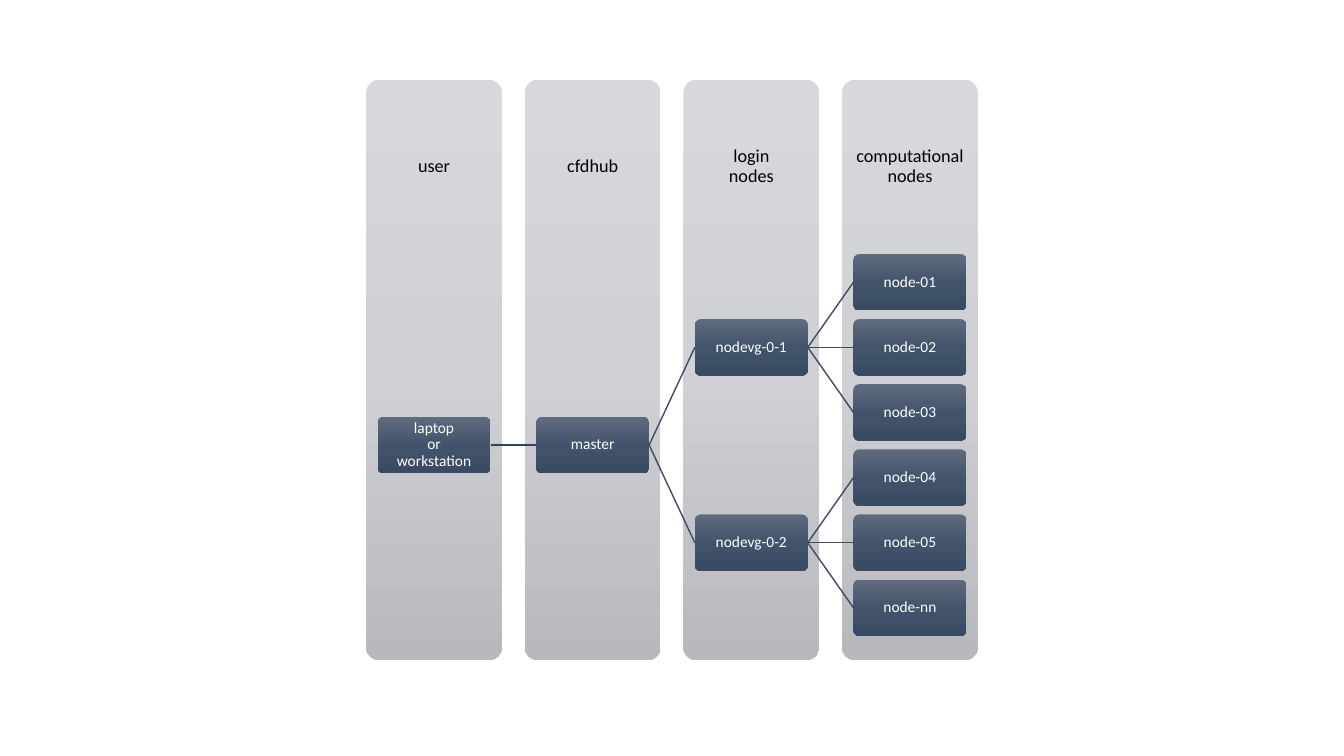
"""Draws the cluster access diagram: user, master, login and computational nodes."""
from copy import deepcopy
from dataclasses import dataclass

from pptx import Presentation
from pptx.dml.color import RGBColor
from pptx.enum.shapes import MSO_CONNECTOR, MSO_SHAPE
from pptx.enum.text import MSO_ANCHOR, PP_ALIGN
from pptx.oxml.ns import qn
from pptx.oxml.xmlchemy import OxmlElement
from pptx.util import Inches, Pt

ROUNDED = MSO_SHAPE.ROUNDED_RECTANGLE
STRAIGHT = MSO_CONNECTOR.STRAIGHT
MIDDLE = MSO_ANCHOR.MIDDLE
CENTER = PP_ALIGN.CENTER
LEFT_SITE, RIGHT_SITE = 1, 3

BLACK = RGBColor(0x00, 0x00, 0x00)
WHITE = RGBColor(0xFF, 0xFF, 0xFF)
FIRST_LINK = RGBColor(0x36, 0x43, 0x55)
LINK = RGBColor(0x3E, 0x4C, 0x60)
COLUMN_FILL = (RGBColor(0xD6, 0xD8, 0xDB), RGBColor(0xCF, 0xD1, 0xD4), RGBColor(0xB7, 0xB9, 0xBD))
NODE_FILL = (RGBColor(0x60, 0x6B, 0x7D), RGBColor(0x42, 0x54, 0x6C), RGBColor(0x39, 0x4A, 0x62))

COLUMN_LEFT, COLUMN_TOP, COLUMN_W, COLUMN_H = 3.63, 0.79, 1.35, 5.76
COLUMN_STEP = (8.35 - COLUMN_LEFT) / 3
HEADER_H = 1.73
NODE_TOP, NODE_W, NODE_H = 2.52, 1.12, 0.56
NODE_STEP = (5.75 - NODE_TOP) / 5
NODE_INDENT = (COLUMN_W - NODE_W) / 2


@dataclass(frozen=True)
class Node:
    text: str
    column: int
    row: float
    parent: str = ""
    link: RGBColor = LINK


HEADERS = ("user", "cfdhub", "login\vnodes", "computational nodes")
NODES = (
    Node("laptop\vor\vworkstation", 0, 2.5),
    Node("master", 1, 2.5, "laptop\vor\vworkstation", FIRST_LINK),
    Node("nodevg-0-1", 2, 1, "master"),
    Node("nodevg-0-2", 2, 4, "master"),
    Node("node-01", 3, 0, "nodevg-0-1"),
    Node("node-02", 3, 1, "nodevg-0-1"),
    Node("node-03", 3, 2, "nodevg-0-1"),
    Node("node-04", 3, 3, "nodevg-0-2"),
    Node("node-05", 3, 4, "nodevg-0-2"),
    Node("node-nn", 3, 5, "nodevg-0-2"),
)


def write(sp, text: str, *, size: float, color: RGBColor, inset: float) -> None:
    tf = sp.text_frame
    tf.word_wrap = True
    tf.vertical_anchor = MIDDLE
    tf.margin_left = tf.margin_right = tf.margin_top = tf.margin_bottom = Inches(inset)
    p = tf.paragraphs[0]
    p.text = text
    p.alignment = CENTER
    p.line_spacing = 0.9
    for r in p.runs:
        r.font.name = "Calibri"
        r.font.size = Pt(size)
        r.font.color.rgb = color


def add_panel(s, left: float, top: float, width: float, height: float,
              colors: tuple[RGBColor, ...]):
    sp = s.shapes.add_shape(ROUNDED, Inches(left), Inches(top), Inches(width), Inches(height))
    sp.adjustments[0] = 0.1
    sp.shadow.inherit = False
    sp.line.fill.background()
    sp.fill.gradient()
    sp.fill.gradient_angle = 270
    stops = sp._element.spPr.find(qn("a:gradFill")).find(qn("a:gsLst"))
    stops.insert(1, deepcopy(stops[0]))
    for i, (stop, color) in enumerate(zip(sp.fill.gradient_stops, colors)):
        stop.position = i / 2
        stop.color.rgb = color
    return sp


def add_column(s, index: int, header: str) -> None:
    left = COLUMN_LEFT + index * COLUMN_STEP
    add_panel(s, left, COLUMN_TOP, COLUMN_W, COLUMN_H, COLUMN_FILL)
    box = s.shapes.add_textbox(Inches(left), Inches(COLUMN_TOP), Inches(COLUMN_W), Inches(HEADER_H))
    write(box, header, size=13, color=BLACK, inset=0.1)


def add_node(s, node: Node):
    left = COLUMN_LEFT + node.column * COLUMN_STEP + NODE_INDENT
    top = NODE_TOP + node.row * NODE_STEP
    sp = add_panel(s, left, top, NODE_W, NODE_H, NODE_FILL)
    write(sp, node.text, size=11, color=WHITE, inset=0.01)
    return sp


def add_link(s, parent, child, color: RGBColor) -> None:
    cn = s.shapes.add_connector(STRAIGHT, 0, 0, 0, 0)
    cn.begin_connect(parent, RIGHT_SITE)
    cn.end_connect(child, LEFT_SITE)
    cn.line.color.rgb = color
    cn.line.width = Pt(1)
    cn._element.spPr.append(OxmlElement("a:effectLst"))


def main() -> None:
    prs = Presentation()
    prs.slide_width, prs.slide_height = Inches(13.33), Inches(7.5)
    s = prs.slides.add_slide(prs.slide_layouts[6])
    for index, header in enumerate(HEADERS):
        add_column(s, index, header)
    boxes = {node.text: add_node(s, node) for node in NODES}
    for node in NODES:
        if node.parent:
            add_link(s, boxes[node.parent], boxes[node.text], node.link)
    prs.save("out.pptx")


if __name__ == "__main__":
    main()
